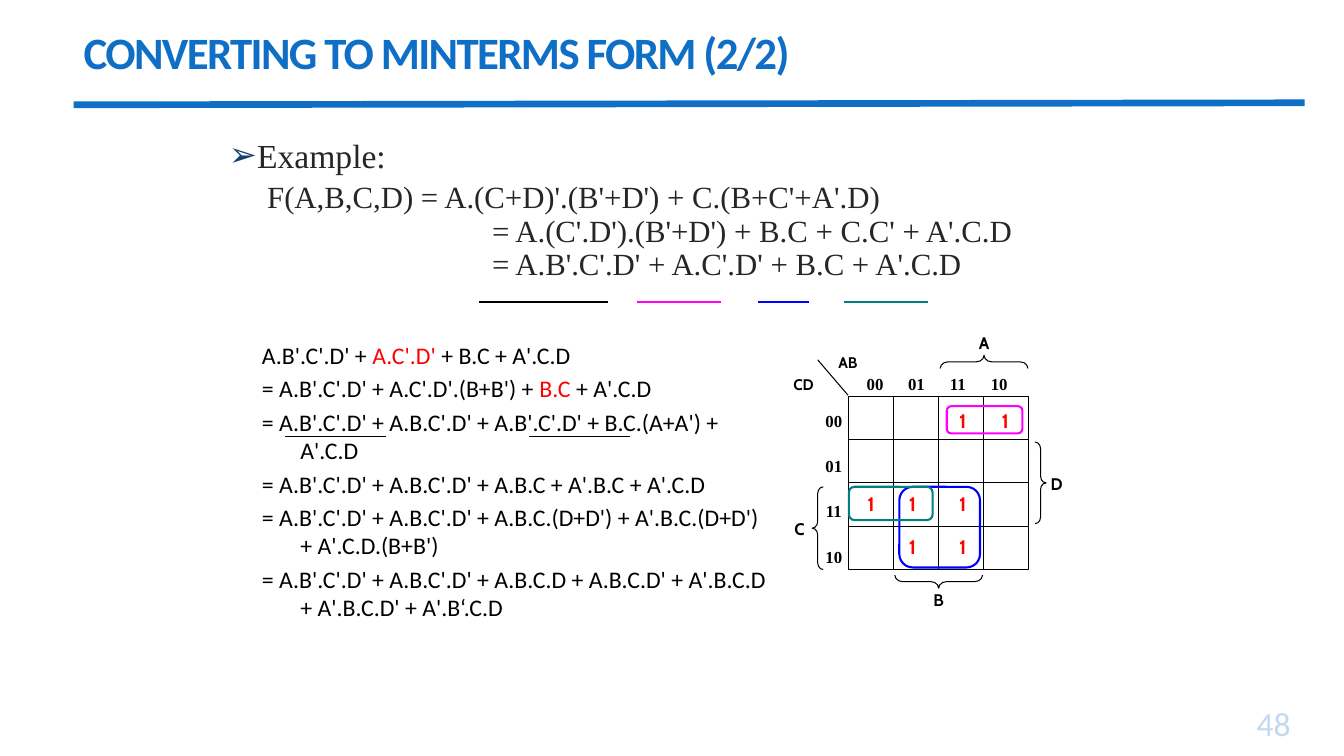
from lxml import etree
from pptx import Presentation
from pptx.dml.color import RGBColor
from pptx.enum.shapes import MSO_CONNECTOR, MSO_SHAPE
from pptx.enum.text import MSO_ANCHOR, MSO_AUTO_SIZE, PP_ALIGN
from pptx.oxml.ns import qn
from pptx.util import Inches, Pt

STRAIGHT = MSO_CONNECTOR.STRAIGHT
RECTANGLE, ROUNDED, BRACE = MSO_SHAPE.RECTANGLE, MSO_SHAPE.ROUNDED_RECTANGLE, MSO_SHAPE.LEFT_BRACE
LEFT, CENTER, RIGHT = PP_ALIGN.LEFT, PP_ALIGN.CENTER, PP_ALIGN.RIGHT
MIDDLE, TOP, BOTTOM = MSO_ANCHOR.MIDDLE, MSO_ANCHOR.TOP, MSO_ANCHOR.BOTTOM
NO_FIT = MSO_AUTO_SIZE.NONE

COLORS = {
    "accent": "0F6FC6", "bullet": "17406D", "body": "262626", "black": "000000",
    "red": "FF0000", "magenta": "FF00FF", "blue": "0000FF", "teal": "008080",
}
SANS, SERIF, LABEL = "Calibri", "Times New Roman", "Cabin"

FORMULA = ("F(A,B,C,D) = A.(C+D)'.(B'+D') + C.(B+C'+A'.D)\v"
           "= A.(C'.D').(B'+D') + B.C + C.C' + A'.C.D\v"
           "= A.B'.C'.D' + A.C'.D' + B.C + A'.C.D")
WORKING = [
    [("A.B'.C'.D' + ", "black"), ("A.C'.D'", "red"), (" + B.C + A'.C.D", "black")],
    [("= A.B'.C'.D' + A.C'.D'.(B+B') + ", "black"), ("B.C", "red"), (" + A'.C.D", "black")],
    [("= A.B'.C'.D' + A.B.C'.D' + A.B'.C'.D' + B.C.(A+A') + A'.C.D", "black")],
    [("= A.B'.C'.D' + A.B.C'.D' + A.B.C + A'.B.C + A'.C.D", "black")],
    [("= A.B'.C'.D' + A.B.C'.D' + A.B.C.(D+D') + A'.B.C.(D+D') + A'.C.D.(B+B')", "black")],
    [("= A.B'.C'.D' + A.B.C'.D' + A.B.C.D + A.B.C.D' + A'.B.C.D + A'.B.C.D' + A'.B‘.C.D", "black")],
]
TERM_LINES = [(2.58, 1.28, "black"), (4.15, 0.83, "magenta"), (5.35, 0.5, "blue"), (6.2, 0.83, "teal")]
GRAY_CODE = ["00", "01", "11", "10"]
VARIABLES = [("A", 1.34, -0.53, 12), ("B", 0.89, 2.02, 12), ("C", -0.49, 1.32, 12),
             ("D", 2.06, 0.87, 12), ("AB", -0.01, -0.33, 11), ("CD", -0.45, -0.12, 11)]
BRACES = [(1.34, -0.34, 0.13, 0.87, 90), (0.89, 1.84, 0.13, 0.87, 270),
          (-0.31, 1.31, 0.11, 0.82, 0), (1.9, 0.86, 0.11, 0.81, 180)]
ONE_COLUMNS = [0.22, 0.63, 1.13, 1.55]
ONE_ROWS = {0: (0.24, [2, 3]), 2: (1.07, [0, 1, 2]), 3: (1.49, [1, 2])}
LOOPS = [(0.5, 0.9, 0.8, 0.8, "blue"), (0, 0.9, 0.83, 0.33, "teal"), (0.97, 0.1, 0.75, 0.27, "magenta")]


def rgb(name):
    """Return the named colour."""
    return RGBColor.from_string(COLORS[name])


def set_font(font, face, size, color, bold=False):
    """Set face, size, colour and weight."""
    font.name, font.size, font.bold = face, Pt(size), bold
    font.color.rgb = rgb(color)


def place(part, left, top, width, height):
    """Move a part to its box in inches."""
    part.left, part.top = Inches(left), Inches(top)
    part.width, part.height = Inches(width), Inches(height)


def hang(paragraph, margin, indent):
    """Set the left margin and first-line indent in inches."""
    properties = paragraph._p.get_or_add_pPr()
    properties.set("marL", str(Inches(margin)))
    properties.set("indent", str(Inches(indent)))
    return properties


def add_line(slide, start, end, color="black", weight=0.75):
    """Draw a straight line without shadow."""
    line = slide.shapes.add_connector(STRAIGHT, *(Inches(value) for value in (*start, *end)))
    line.line.color.rgb = rgb(color)
    line.line.width = Pt(weight)
    etree.SubElement(line._element.spPr, qn("a:effectLst"))
    return line


def add_outline(slide, kind, left, top, width, height, color="black", weight=0.75):
    """Draw an unfilled preset shape."""
    outline = slide.shapes.add_shape(kind, *(Inches(value) for value in (left, top, width, height)))
    outline.shadow.inherit = False
    outline.fill.background()
    outline.line.color.rgb = rgb(color)
    outline.line.width = Pt(weight)
    return outline


def add_label(slide, x, y, text, face, size, color="black"):
    """Centre a short bold label on a point."""
    label = slide.shapes.add_textbox(Inches(x - 0.22), Inches(y - 0.17), Inches(0.44), Inches(0.34))
    frame = label.text_frame
    frame.margin_left = frame.margin_right = frame.margin_top = frame.margin_bottom = 0
    frame.word_wrap, frame.vertical_anchor = True, MIDDLE
    heading = frame.paragraphs[0]
    heading.text, heading.alignment = text, CENTER
    set_font(heading.font, face, size, color, True)


def add_header(slide, left, top, width, height):
    """Place the slide title and the rule below it."""
    title = slide.shapes.title
    place(title, left, top, width, height)
    title.text_frame.auto_size = NO_FIT
    title.text_frame.vertical_anchor = MIDDLE
    heading = title.text_frame.paragraphs[0]
    heading.text = "CONVERTING TO MINTERMS FORM (2/2)"
    heading.alignment, heading.line_spacing = LEFT, 0.85
    set_font(heading.font, SANS, 32, "accent", True)
    heading.runs[0]._r.get_or_add_rPr().set("spc", "-120")
    add_line(slide, (left, top + 0.96), (left + 12.21, top + 0.94), "accent", 4.75)


def add_example(slide, left, top, width, height):
    """Place the example function and underline its terms."""
    body = slide.placeholders[1]
    place(body, left, top, width, height)
    frame = body.text_frame
    frame.auto_size, frame.vertical_anchor = NO_FIT, TOP
    example, formula = frame.paragraphs[0], frame.add_paragraph()
    example.text, formula.text, formula.level = "Example:", FORMULA, 1
    example.line_spacing = formula.line_spacing = 0.9
    example.space_before, formula.space_before = Pt(0), Pt(5)
    properties = hang(example, 0.28, -0.28)
    bullet_color = etree.SubElement(properties, qn("a:buClr"))
    etree.SubElement(bullet_color, qn("a:srgbClr"), val=COLORS["bullet"])
    etree.SubElement(properties, qn("a:buChar"), char="➢")
    etree.SubElement(hang(formula, 2.61, -2.23), qn("a:buNone"))
    for paragraph, size in ((example, 24), (formula, 22)):
        paragraph.alignment = LEFT
        set_font(paragraph.font, SERIF, size, "body")
    for offset, length, color in TERM_LINES:
        start = left + offset
        add_line(slide, (start, top + 1.67), (start + length, top + 1.67), color, 1.5)


def add_working(slide, left, top, width, height):
    """Write the expansion steps and underline the repeated minterm."""
    working = slide.shapes.add_textbox(Inches(left), Inches(top), Inches(width), Inches(height))
    frame = working.text_frame
    frame.word_wrap = True
    for index, pieces in enumerate(WORKING):
        step = frame.add_paragraph() if index else frame.paragraphs[0]
        step.space_before = Pt(3.4 if index else 0)
        hang(step, 0.38, -0.38)
        set_font(step.font, SANS, 17, "black")
        for text, color in pieces:
            piece = step.add_run()
            piece.text = text
            if color != "black":
                piece.font.color.rgb = rgb(color)
    for offset in (0.33, 2.75):
        add_line(slide, (left + offset, top + 1), (left + offset + 1, top + 1))


def add_karnaugh_map(slide, left, top, width, height):
    """Draw the four-variable map with labels, braces, ones and loops."""
    right, bottom = left + width, top + height
    grid = add_outline(slide, RECTANGLE, left, top, width, height)
    for index in range(1, 4):
        x, y = left + width * index / 4, top + height * index / 4
        column = add_line(slide, (x, top), (x, bottom))
        row = add_line(slide, (left, y), (right, y))
        if index == 2:
            for line, begin, end in ((column, 0, 2), (row, 1, 3)):
                line.begin_connect(grid, begin)
                line.end_connect(grid, end)
    add_line(slide, (left - 0.01, top - 0.01), (left - 0.31, top - 0.36))
    for index, code in enumerate(GRAY_CODE):
        add_label(slide, left + 0.26 + 0.41 * index, top - 0.12, code, SERIF, 12)
        add_label(slide, left - 0.15, top + 0.24 + 0.45 * index, code, SERIF, 12)
    for name, x, y, size in VARIABLES:
        add_label(slide, left + x, top + y, name, LABEL, size)
    for x, y, depth, span, angle in BRACES:
        brace = add_outline(slide, BRACE, left + x - depth / 2, top + y - span / 2, depth, span)
        brace.adjustments[0] = 0.6
        brace.rotation = angle
    for y, columns in ONE_ROWS.values():
        for column in columns:
            add_label(slide, left + ONE_COLUMNS[column], top + y, "1", LABEL, 14, "red")
    for x, y, loop_width, loop_height, color in LOOPS:
        add_outline(slide, ROUNDED, left + x, top + y, loop_width, loop_height, color, 1.5)


def add_page_number(slide, left, top, width, height):
    """Write the pale page number."""
    number = slide.shapes.add_textbox(Inches(left), Inches(top), Inches(width), Inches(height))
    frame = number.text_frame
    frame.word_wrap, frame.vertical_anchor = True, BOTTOM
    page = frame.paragraphs[0]
    page.text, page.alignment = "48", RIGHT
    set_font(page.font, SANS, 24, "accent")
    for tint in page._p.iter(qn("a:srgbClr")):
        etree.SubElement(tint, qn("a:alpha"), val="25000")


def main():
    """Build and save the slide."""
    deck = Presentation()
    deck.slide_width, deck.slide_height = Inches(13.33), Inches(7.5)
    slide = deck.slides.add_slide(deck.slide_layouts[1])
    add_header(slide, 0.73, 0.08, 11.78, 0.94)
    add_example(slide, 2.17, 1.33, 9, 5.37)
    add_working(slide, 2.5, 3.33, 5.25, 3.42)
    add_karnaugh_map(slide, 8.42, 3.93, 1.78, 1.72)
    add_page_number(slide, 11.6, 7, 1.3, 0.42)
    deck.save("out.pptx")


if __name__ == "__main__":
    main()
